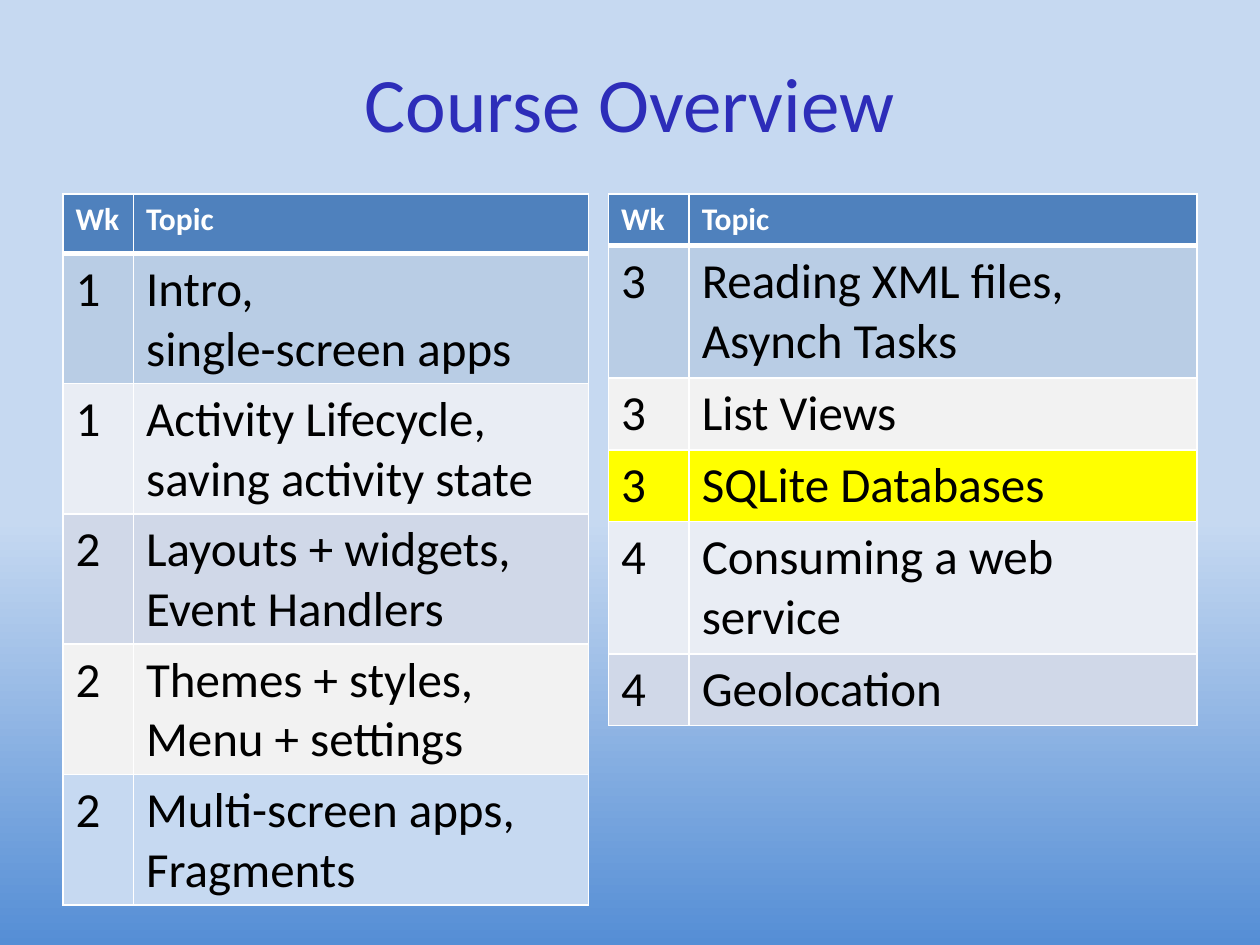
from lxml.etree import SubElement
from pptx import Presentation
from pptx.dml.color import RGBColor
from pptx.enum.text import MSO_ANCHOR, PP_ALIGN
from pptx.oxml.ns import qn
from pptx.util import Inches, Pt

FONT = "Calibri"
SKY = RGBColor(0xC6, 0xD9, 0xF1)
DEEP_SKY = RGBColor(0x55, 0x8E, 0xD5)
TITLE_BLUE = RGBColor(0x2D, 0x2D, 0xB9)
HEADER_BLUE = RGBColor(0x4F, 0x81, 0xBD)
STEEL = RGBColor(0xB9, 0xCD, 0xE5)
PALE = RGBColor(0xE9, 0xED, 0xF4)
BAND = RGBColor(0xD0, 0xD8, 0xE8)
GREY = RGBColor(0xF2, 0xF2, 0xF2)
YELLOW = RGBColor(0xFF, 0xFF, 0x00)
WHITE = RGBColor(0xFF, 0xFF, 0xFF)
BLACK = RGBColor(0x00, 0x00, 0x00)

MARGIN = 0.5
TABLE_TOP = 1.54
ONE_LINE, TWO_LINES = 0.57, 1.05

# Each row: week, topic paragraphs, fill, height. "\n" is a line break.
FIRST_HALF = [
    ("1", ["Intro, \nsingle-screen apps"], STEEL, 1.03),
    ("1", ["Activity Lifecycle, saving activity state"], PALE, 1.03),
    ("2", ["Layouts + widgets,", "Event Handlers"], BAND, 1.03),
    ("2", ["Themes + styles,", "Menu + settings"], GREY, 1.03),
    ("2", ["Multi-screen apps, Fragments"], SKY, 1.03),
]
SECOND_HALF = [
    ("3", ["Reading XML files,", "Asynch Tasks"], STEEL, TWO_LINES),
    ("3", ["List Views"], GREY, ONE_LINE),
    ("3", ["SQLite Databases"], YELLOW, ONE_LINE),
    ("4", ["Consuming a web service"], PALE, TWO_LINES),
    ("4", ["Geolocation"], BAND, ONE_LINE),
]
# Each table: left edge, column widths, header height, rows.
TABLES = [
    (MARGIN, (0.56, 3.61), 0.47, FIRST_HALF),
    (4.83, (0.64, 4.03), 0.41, SECOND_HALF),
]


def write(frame, paragraphs, size, color, bold=False):
    for index, text in enumerate(paragraphs):
        paragraph = frame.add_paragraph() if index else frame.paragraphs[0]
        for line_number, line in enumerate(text.split("\n")):
            if line_number:
                paragraph.add_line_break()
            run = paragraph.add_run()
            run.text = line
            run.font.name = FONT
            run.font.size = Pt(size)
            run.font.bold = bold
            run.font.color.rgb = color


def add_borders(cell, top_width, bottom_width):
    """Draw white borders; call before filling, as the fill must follow them."""
    properties = cell._tc.get_or_add_tcPr()
    widths = {"L": 1, "R": 1, "T": top_width, "B": bottom_width}
    for side, width in widths.items():
        line = SubElement(properties, qn(f"a:ln{side}"), w=str(Pt(width)))
        fill = SubElement(line, qn("a:solidFill"))
        SubElement(fill, qn("a:srgbClr"), val=str(WHITE))


presentation = Presentation()
presentation.slide_width = Inches(10)
presentation.slide_height = Inches(7.5)
slide = presentation.slides.add_slide(presentation.slide_layouts[6])

background = slide.background.fill
background.gradient()
background.gradient_angle = 270
for stop, position, color in zip(background.gradient_stops, (0.55, 1), (SKY, DEEP_SKY)):
    stop.position = position
    stop.color.rgb = color

title = slide.shapes.add_textbox(Inches(MARGIN), Inches(0.3), Inches(9), Inches(1.02))
title.text_frame.word_wrap = True
title.text_frame.vertical_anchor = MSO_ANCHOR.MIDDLE
write(title.text_frame, ["Course Overview"], 44, TITLE_BLUE)
title.text_frame.paragraphs[0].alignment = PP_ALIGN.CENTER

for left, widths, header_height, topics in TABLES:
    rows = [("Wk", ["Topic"], HEADER_BLUE, header_height)] + topics
    total_height = sum(row[3] for row in rows)
    table = slide.shapes.add_table(
        len(rows), len(widths), Inches(left), Inches(TABLE_TOP),
        Inches(sum(widths)), Inches(total_height)).table
    for column, width in zip(table.columns, widths):
        column.width = Inches(width)
    for row_index, (week, topic, color, height) in enumerate(rows):
        table.rows[row_index].height = Inches(height)
        is_header = row_index == 0
        for column_index, paragraphs in enumerate(([week], topic)):
            cell = table.cell(row_index, column_index)
            add_borders(cell, 3 if row_index == 1 else 1, 3 if is_header else 1)
            cell.fill.solid()
            cell.fill.fore_color.rgb = color
            write(cell.text_frame, paragraphs, 18 if is_header else 28,
                  WHITE if is_header else BLACK, is_header)

presentation.save("out.pptx")
